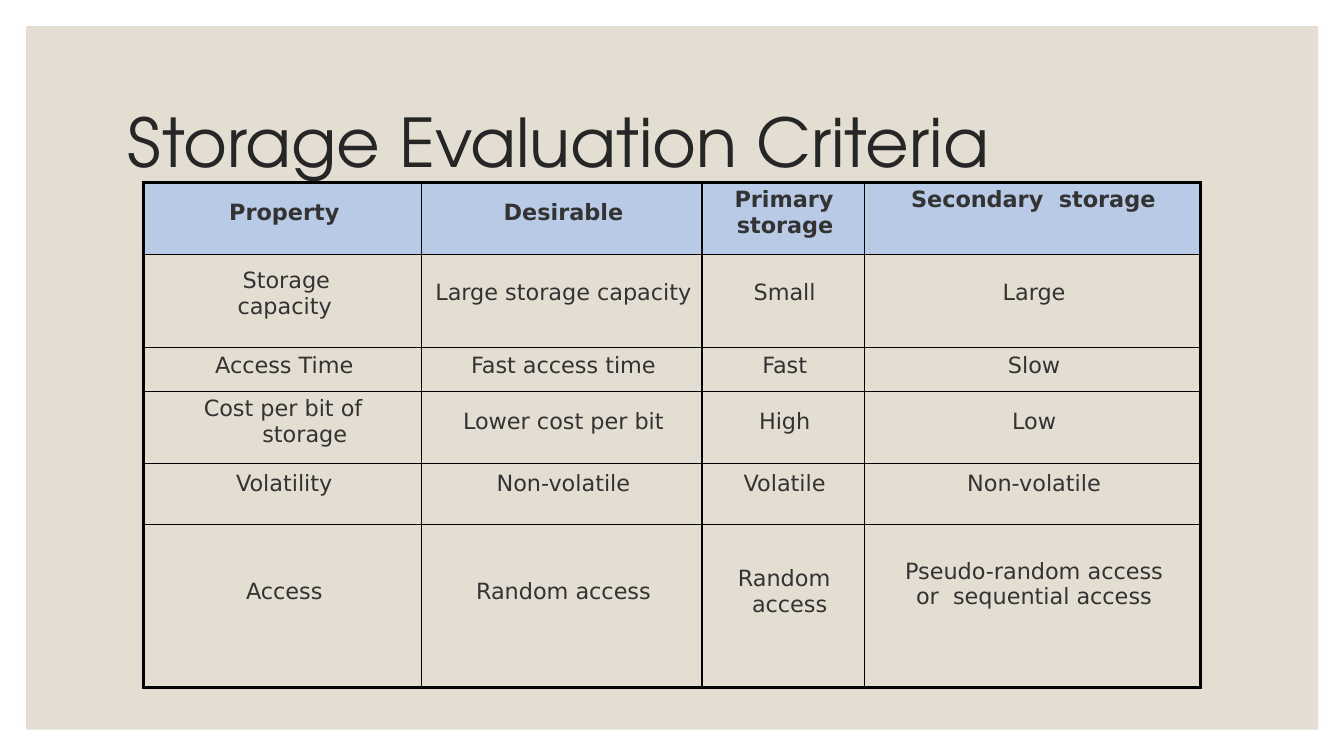
from lxml.etree import SubElement
from pptx import Presentation
from pptx.dml.color import RGBColor
from pptx.enum.shapes import MSO_SHAPE
from pptx.enum.text import MSO_ANCHOR, MSO_AUTO_SIZE, PP_ALIGN
from pptx.oxml.ns import qn
from pptx.util import Cm, Pt


def paint(fill, color):
    fill.solid()
    fill.fore_color.rgb = RGBColor.from_string(color)


def add_border(cell, side, width):
    line = SubElement(cell._tc.get_or_add_tcPr(), qn(f"a:ln{side}"), w=str(Pt(width)))
    solid = SubElement(line, qn("a:solidFill"))
    SubElement(solid, qn("a:srgbClr"), val="000000")


prs = Presentation()
prs.slide_width = Cm(33.87)
prs.slide_height = Cm(19.05)
slide = prs.slides.add_slide(prs.slide_layouts[5])

backdrop = slide.shapes.add_shape(MSO_SHAPE.RECTANGLE, Cm(0.66), Cm(0.66), Cm(32.56), Cm(17.73))
backdrop.shadow.inherit = False
paint(backdrop.fill, "E3DED1")
backdrop.line.fill.background()
slide.shapes._spTree.insert(2, backdrop._element)

title = slide.shapes.title
title.left, title.top, title.width, title.height = Cm(2.97), Cm(1.78), Cm(27.94), Cm(3.81)
title.text_frame.auto_size = MSO_AUTO_SIZE.NONE
title.text_frame.vertical_anchor = MSO_ANCHOR.MIDDLE
heading = title.text_frame.paragraphs[0]
heading.alignment = PP_ALIGN.LEFT
heading.line_spacing = 0.9
heading_run = heading.add_run()
heading_run.text = "Storage Evaluation Criteria"
heading_run.font.size = Pt(48)
heading_run.font.name = "TeX Gyre Adventor"
heading_run.font.color.rgb = RGBColor.from_string("262626")

column_widths = [7.01, 7.06, 4.09, 8.48]
criteria = [
    (1.81, [("Property", 0.43), ("Desirable", 0.43), ("Primary storage", 0.1), ("Secondary  storage", 0.1)]),
    (2.34, [("Storage capacity", 0.33), ("Large storage capacity", 0.63), ("Small", 0.63), ("Large", 0.63)]),
    (1.12, [("Access Time", 0.15), ("Fast access time", 0.15), ("Fast", 0.15), ("Slow", 0.15)]),
    (1.8, [("Cost per bit of storage", 0.1), ("Lower cost per bit", 0.43), ("High", 0.43), ("Low", 0.43)]),
    (1.54, [("Volatility", 0.2), ("Non-volatile", 0.2), ("Volatile", 0.2), ("Non-volatile", 0.2)]),
    (4.11, [("Access", 1.37), ("Random access", 1.37), ("Random access", 1.04),
            ("Pseudo-random access or  sequential access", 0.86)]),
]
indents = {
    (0, 2): (0.66, -0.05, 0.56),
    (0, 3): (1.24, -0.51, 0.69),
    (1, 0): (1.42, 0.08, 1.32),
    (3, 0): (1.52, -1.09, 0.41),
    (5, 2): (0.97, -0.28, 0.64),
    (5, 3): (0.94, 0, 0.86),
}
last_row, last_column = len(criteria) - 1, len(column_widths) - 1

table = slide.shapes.add_table(
    len(criteria), len(column_widths), Cm(3.62), Cm(4.6),
    Cm(sum(column_widths)), Cm(sum(height for height, _ in criteria)),
).table
table.horz_banding = False
for column, width in zip(table.columns, column_widths):
    column.width = Cm(width)

for r, (height, entries) in enumerate(criteria):
    table.rows[r].height = Cm(height)
    for c, (text, top) in enumerate(entries):
        cell = table.cell(r, c)
        cell.margin_left = cell.margin_right = cell.margin_bottom = 0
        cell.margin_top = Cm(top)
        cell.vertical_anchor = MSO_ANCHOR.TOP
        outer_sides = {"L": c == 0, "R": c == last_column, "T": r == 0, "B": r == last_row}
        for side, outer in outer_sides.items():
            add_border(cell, side, 2.25 if outer else 1)
        if r == 0:
            paint(cell.fill, "B8CAE6")
        else:
            cell.fill.background()

        paragraph = cell.text_frame.paragraphs[0]
        paragraph.alignment = PP_ALIGN.CENTER
        left, first_line, right = indents.get((r, c), (0.08, 0, 0))
        properties = paragraph._p.get_or_add_pPr()
        properties.set("marL", str(Cm(left)))
        properties.set("marR", str(Cm(right)))
        properties.set("indent", str(Cm(first_line)))
        run = paragraph.add_run()
        run.text = text
        run.font.size = Pt(16)
        run.font.name = "DejaVu Sans"
        run.font.bold = r == 0
        run.font.color.rgb = RGBColor.from_string("333333")

prs.save("out.pptx")
